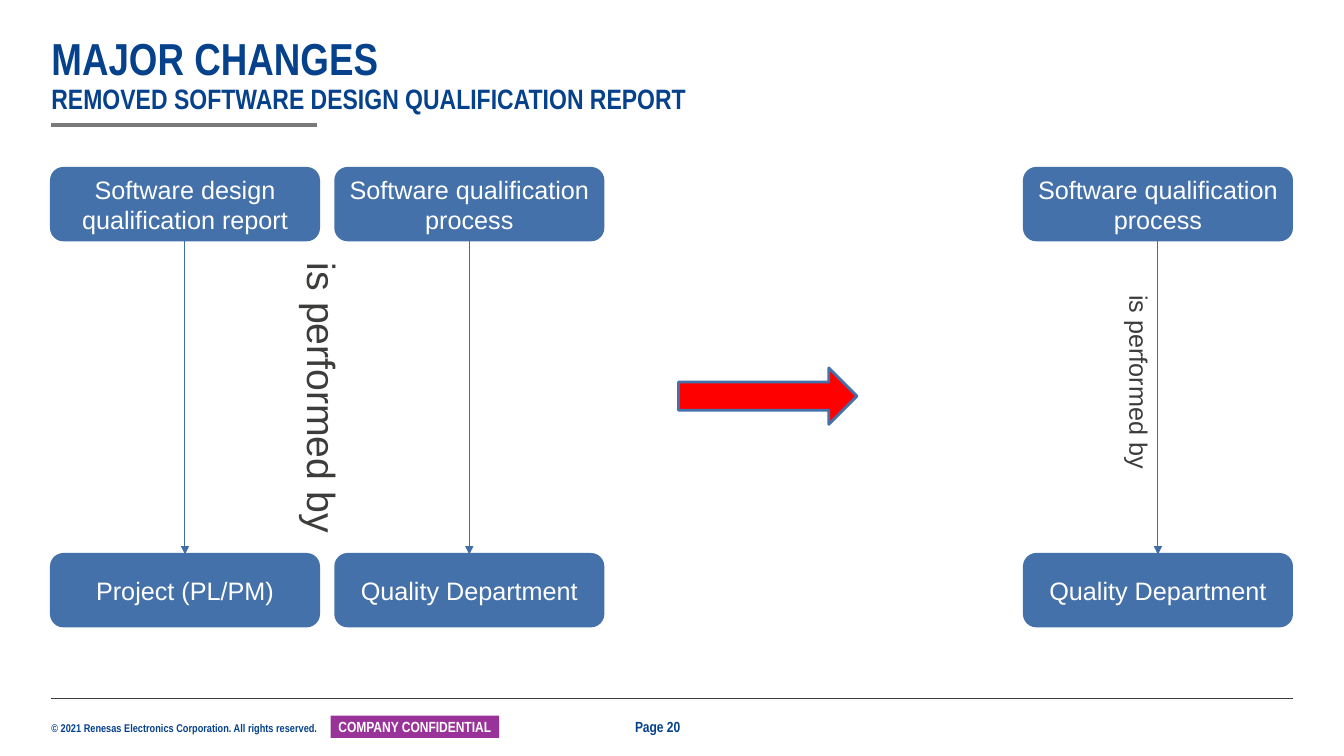
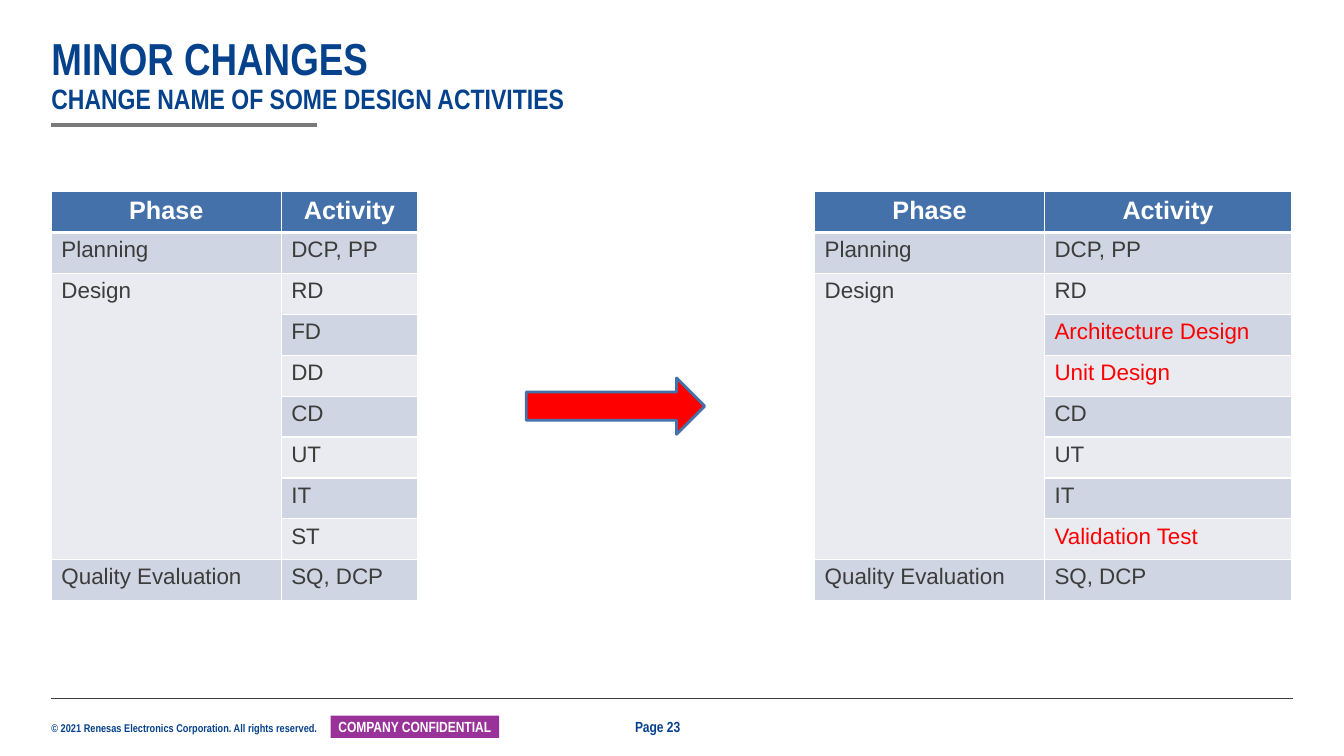
import pptx
import pptx.util
import pptx.dml.color
from lxml import etree
from pptx.enum.shapes import MSO_CONNECTOR, MSO_SHAPE
from pptx.enum.text import MSO_ANCHOR, MSO_AUTO_SIZE, PP_ALIGN
from pptx.oxml.ns import qn

Inches, Pt = pptx.util.Inches, pptx.util.Pt

NAVY, BLUE, LINK_BLUE = "06418C", "4471A9", "406EA8"
TEXT, GREY, WHITE, RED, PURPLE = "3C3C3B", "797979", "FFFFFF", "FF0000", "993399"
BANDS = ("E9EBF1", "CFD5E2")
BODY, NARROW = "Arial", "Arial Narrow"
LEFT, RIGHT = 0.51, 12.82

COPYRIGHT = "© 2021 Renesas Electronics Corporation. All rights reserved."
BADGE = "COMPANY CONFIDENTIAL"

# Left edge, upper box, lower box
FLOWS = [
    (0.51, "Software design qualification report", "Project (PL/PM)"),
    (3.33, "Software qualification process", "Quality Department"),
    (10.16, "Software qualification process", "Quality Department"),
]
FLOW_TOPS = (1.67, 5.5)
BOX_WIDTH, BOX_HEIGHT = 2.65, 0.71
# Centre x, centre y, thickness, size
FLOW_LABEL = "is performed by"
FLOW_LABELS = [(3.2, 4.05, 0.57, 28), (11.3, 4.37, 0.4, 18)]

HEADER = ("Phase", "Activity")
PHASES = [("Planning", 1), ("Design", 7), ("Quality Evaluation", 1)]
ACTIVITIES = ["DCP, PP", "RD", "FD", "DD", "CD", "UT", "IT", "ST", "SQ, DCP"]
RENAMED = {"FD": "Architecture Design", "DD": "Unit Design", "ST": "Validation Test"}
PHASE_WIDTH, ROW_HEIGHT, TABLE_TOP = 2.28, 0.406, 1.9


def rgb(value):
    return pptx.dml.color.RGBColor.from_string(value)


def style(paragraph, size, color, font=BODY, bold=False, align=PP_ALIGN.LEFT):
    paragraph.alignment = align
    paragraph.font.size, paragraph.font.name = Pt(size), font
    paragraph.font.bold, paragraph.font.color.rgb = bold, rgb(color)


def add_text(slide, text, box, size, color, font=BODY, bold=False, inset=None):
    shape = slide.shapes.add_textbox(*map(Inches, box))
    frame = shape.text_frame
    frame.word_wrap = False
    if inset is not None:
        frame.margin_left = frame.margin_right = Inches(inset)
        frame.margin_top = frame.margin_bottom = Inches(inset)
    frame.text = text
    style(frame.paragraphs[0], size, color, font, bold)
    return shape


def add_shape(slide, kind, box, fill, outline=None):
    shape = slide.shapes.add_shape(kind, *map(Inches, box))
    shape.shadow.inherit = False
    shape.fill.solid()
    shape.fill.fore_color.rgb = rgb(fill)
    if outline:
        shape.line.color.rgb, shape.line.width = rgb(outline), Pt(2)
    else:
        shape.line.fill.background()
    return shape


def label_shape(shape, text, size, font=BODY, bold=False):
    frame = shape.text_frame
    frame.vertical_anchor = MSO_ANCHOR.MIDDLE
    frame.word_wrap = True
    frame.text = text
    style(frame.paragraphs[0], size, WHITE, font, bold, PP_ALIGN.CENTER)


def add_line(slide, start, end, color, width):
    line = slide.shapes.add_connector(MSO_CONNECTOR.STRAIGHT, *map(Inches, start + end))
    line.line.color.rgb, line.line.width = rgb(color), Pt(width)
    etree.SubElement(line._element.spPr, qn("a:effectLst"))
    return line


def add_change_arrow(slide, left, top):
    add_shape(slide, MSO_SHAPE.RIGHT_ARROW, (left, top, 1.77, 0.56), RED, BLUE)


def add_page(presentation, title, subtitle, number):
    """Add a slide with the shared title style, rules and footer."""
    slide = presentation.slides.add_slide(presentation.slide_layouts[5])
    heading = slide.shapes.title
    heading.left, heading.top = Inches(LEFT), Inches(0.36)
    heading.width, heading.height = Inches(RIGHT - LEFT), Inches(0.79)
    frame = heading.text_frame
    frame.margin_left = frame.margin_right = frame.margin_top = frame.margin_bottom = 0
    frame.vertical_anchor, frame.auto_size = MSO_ANCHOR.BOTTOM, MSO_AUTO_SIZE.NONE
    frame.text = f"{title}\n{subtitle}"
    for paragraph, size in zip(frame.paragraphs, (32, 20)):
        paragraph.line_spacing = 0.9
        paragraph.space_before = Pt(0)
        style(paragraph, size, NAVY, NARROW, True)

    add_line(slide, (LEFT, 1.24), (3.14, 1.24), GREY, 3)
    add_line(slide, (LEFT, 6.93), (RIGHT, 6.93), TEXT, 0.5)
    add_text(slide, COPYRIGHT, (LEFT, 7.16, 2.73, 0.13), 8, NAVY, NARROW, True, 0)
    badge = add_shape(slide, MSO_SHAPE.RECTANGLE, (3.28, 7.1, 1.67, 0.22), PURPLE)
    badge.text_frame.margin_left = badge.text_frame.margin_right = Inches(0.04)
    badge.text_frame.margin_top = badge.text_frame.margin_bottom = 0
    label_shape(badge, BADGE, 10.5, NARROW, True)
    add_text(slide, f"Page {number}", (6.2, 7.07, 0.67, 0.28), 10.5, NAVY, NARROW, True)
    return slide


def add_flow(slide, left, labels):
    boxes = []
    for top, label in zip(FLOW_TOPS, labels):
        box = add_shape(slide, MSO_SHAPE.ROUNDED_RECTANGLE,
                        (left, top, BOX_WIDTH, BOX_HEIGHT), BLUE, BLUE)
        label_shape(box, label, 18)
        boxes.append(box)
    center = left + BOX_WIDTH / 2
    link = add_line(slide, (center, FLOW_TOPS[0] + BOX_HEIGHT),
                    (center, FLOW_TOPS[1]), LINK_BLUE, 0.75)
    link.begin_connect(boxes[0], 2)
    link.end_connect(boxes[1], 0)
    etree.SubElement(link.line._get_or_add_ln(), qn("a:tailEnd"), type="triangle")


def set_borders(cell, row):
    properties = cell._tc.get_or_add_tcPr()
    widths = {"L": 1, "R": 1, "T": 3 if row == 1 else 1, "B": 3 if row == 0 else 1}
    for side, width in widths.items():
        line = etree.SubElement(properties, qn(f"a:ln{side}"), w=str(Pt(width)))
        fill = etree.SubElement(line, qn("a:solidFill"))
        etree.SubElement(fill, qn("a:srgbClr"), val=WHITE)


def add_activity_table(slide, left, activity_width, activities):
    rows = len(activities) + 1
    widths = (PHASE_WIDTH, activity_width)
    frame = slide.shapes.add_table(rows, 2, Inches(left), Inches(TABLE_TOP),
                                   Inches(sum(widths)), Inches(rows * ROW_HEIGHT))
    table = frame.table
    table.first_row = table.horz_banding = False
    for column, width in zip(table.columns, widths):
        column.width = Inches(width)

    phases = [text for phase, span in PHASES for text in [phase] + [""] * (span - 1)]
    for row, texts in enumerate([HEADER, *zip(phases, activities)]):
        table.rows[row].height = Inches(ROW_HEIGHT)
        for column, text in enumerate(texts):
            cell = table.cell(row, column)
            set_borders(cell, row)
            cell.fill.solid()
            cell.fill.fore_color.rgb = rgb(BANDS[row % 2] if row else BLUE)
            cell.text = text
            paragraph = cell.text_frame.paragraphs[0]
            if row == 0:
                style(paragraph, 18, WHITE, bold=True, align=PP_ALIGN.CENTER)
            else:
                style(paragraph, 16, RED if text in RENAMED.values() else TEXT)

    first = 1
    for _, span in PHASES:
        if span > 1:
            table.cell(first, 0).merge(table.cell(first + span - 1, 0))
        first += span


def build_major_changes(presentation):
    slide = add_page(presentation, "MAJOR CHANGES",
                     "REMOVED SOFTWARE DESIGN QUALIFICATION REPORT", 20)
    for left, *labels in FLOWS:
        add_flow(slide, left, labels)
    length = 3.08
    for x, y, thickness, size in FLOW_LABELS:
        box = (x - length / 2, y - thickness / 2, length, thickness)
        label = add_text(slide, FLOW_LABEL, box, size, TEXT)
        label.text_frame.word_wrap = True
        label.rotation = 90
    add_change_arrow(slide, 6.73, 3.65)


def build_minor_changes(presentation):
    slide = add_page(presentation, "MINOR CHANGES",
                     "CHANGE NAME OF SOME DESIGN ACTIVITIES", 23)
    add_activity_table(slide, LEFT, 1.35, ACTIVITIES)
    add_activity_table(slide, 8.08, 2.45, [RENAMED.get(name, name) for name in ACTIVITIES])
    add_change_arrow(slide, 5.22, 3.75)


def main():
    presentation = pptx.Presentation()
    presentation.slide_width, presentation.slide_height = Inches(13.33), Inches(7.5)
    build_major_changes(presentation)
    build_minor_changes(presentation)
    presentation.save("out.pptx")


if __name__ == "__main__":
    main()
